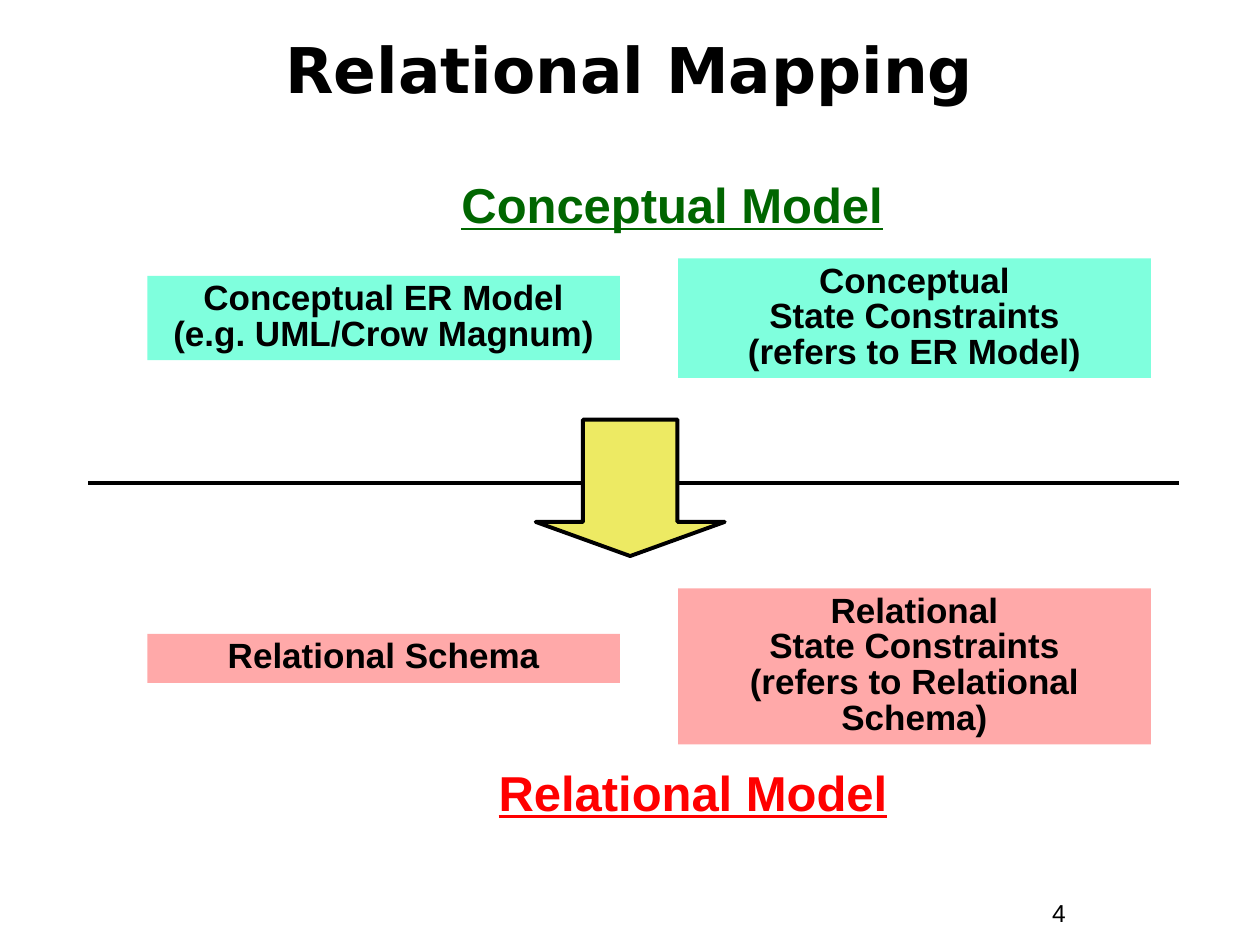
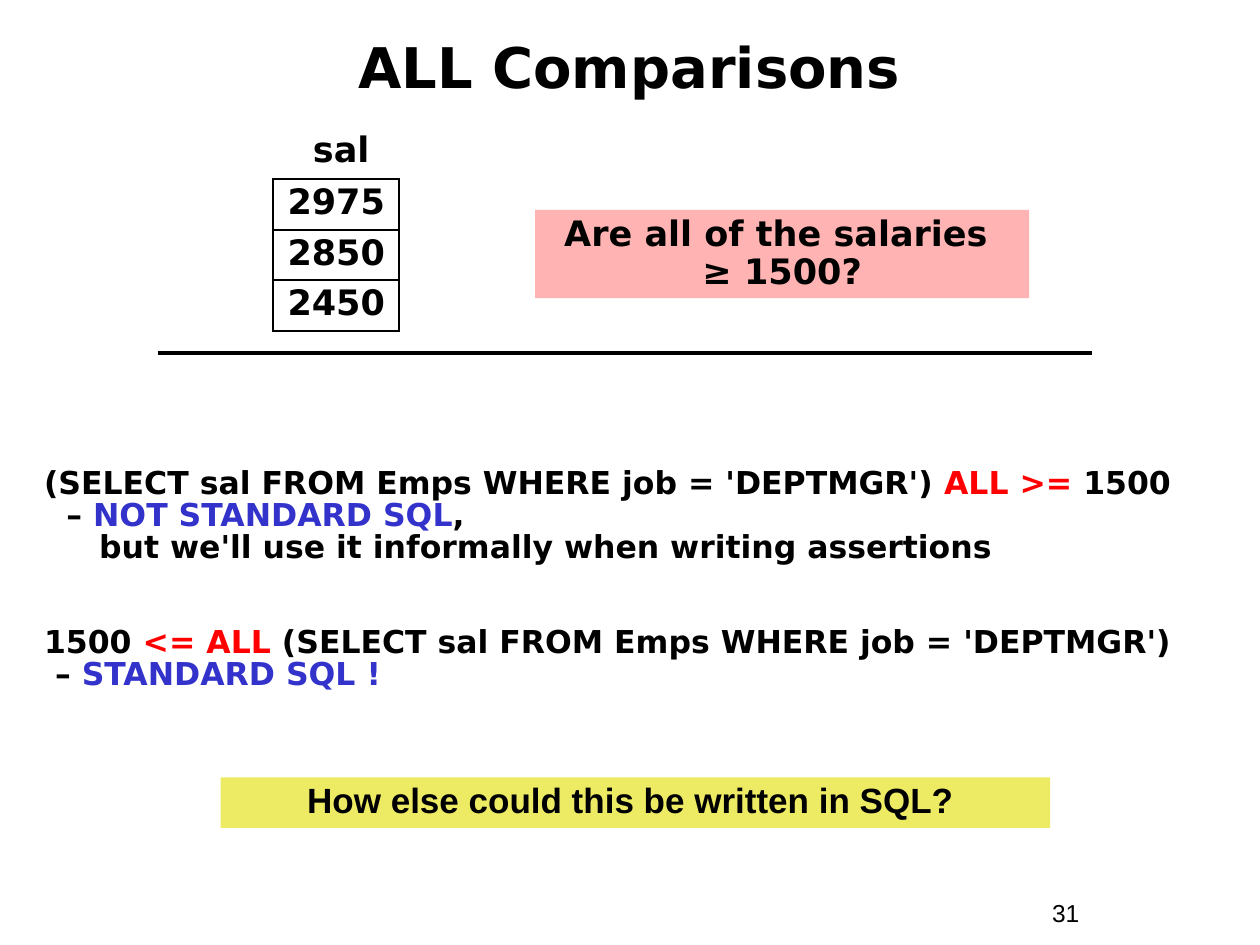
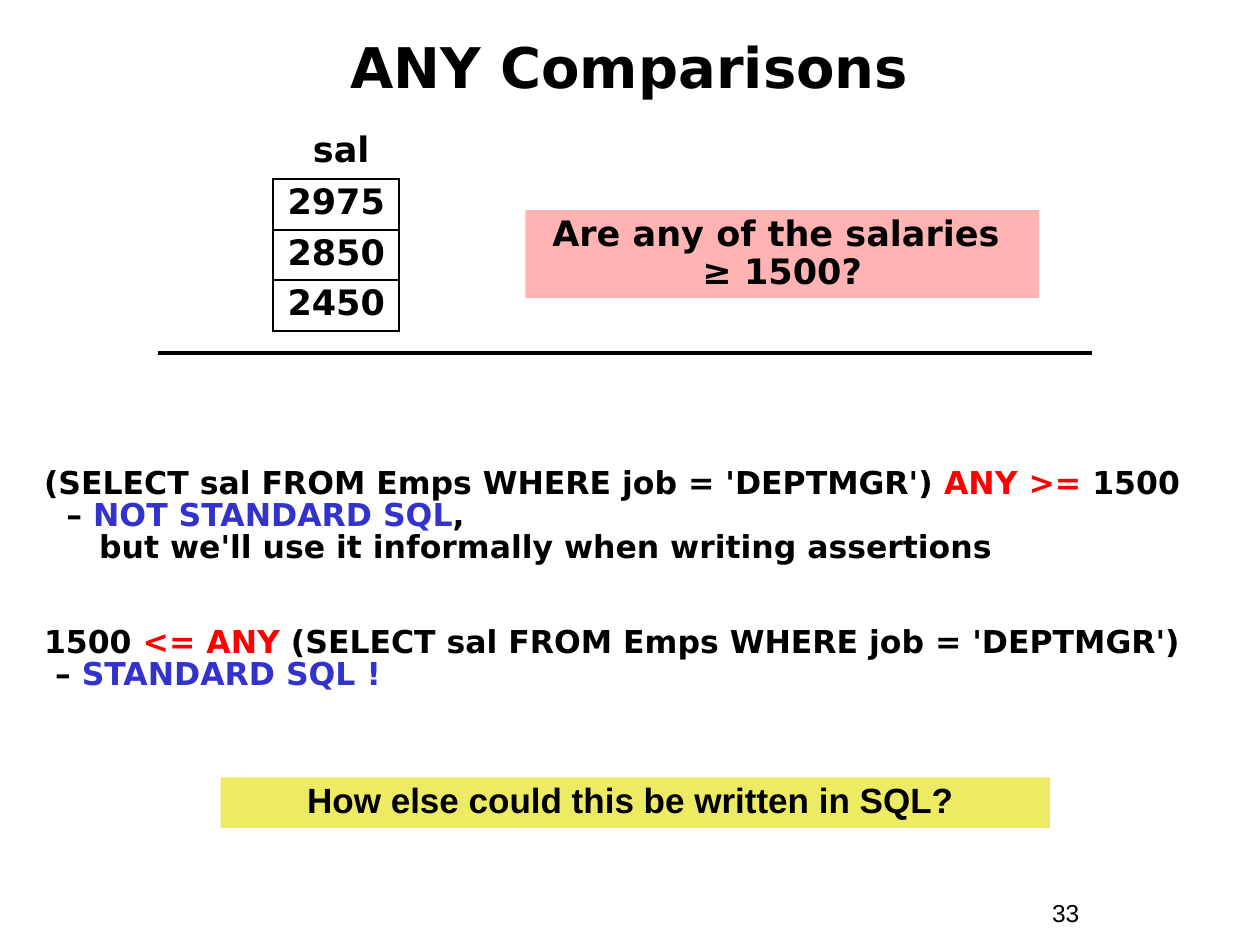
from dataclasses import dataclass
from typing import Optional

import lxml.etree
import pptx
import pptx.dml.color
import pptx.enum.shapes
import pptx.enum.text
import pptx.oxml.ns
import pptx.util

Cm = pptx.util.Cm
Pt = pptx.util.Pt
qn = pptx.oxml.ns.qn
Align = pptx.enum.text.PP_ALIGN
Anchor = pptx.enum.text.MSO_ANCHOR
Preset = pptx.enum.shapes.MSO_SHAPE

COLORS = {
    "black": "000000",
    "red": "FF0000",
    "green": "006600",
    "blue": "3333CC",
    "mint": "7FFFDD",
    "salmon": "FFA9A9",
    "pink": "FFB3B3",
    "yellow": "EDEA63",
}
SANS, DISPLAY = "Arial", "DejaVu Sans"
RULE_WEIGHT = 2.25


@dataclass(frozen=True)
class Style:
    size: float
    font: str = SANS
    color: str = "black"
    bold: bool = True
    underline: bool = False
    spacing: float = 0.85
    align: Align = Align.CENTER


@dataclass(frozen=True)
class Panel:
    """A text area in centimetres, with an optional fill."""
    left: float
    top: float
    width: float
    height: float
    text: str
    style: Style
    fill: Optional[str] = None
    anchor: Anchor = Anchor.TOP


@dataclass(frozen=True)
class QueryLine:
    """One line of coloured pieces, indented in centimetres."""
    pieces: tuple[tuple[str, str], ...]
    indent: float = 0
    space_before: float = 0


@dataclass(frozen=True)
class Comparison:
    word: str
    page: str
    question_width: float


PAGE_NUMBER = Style(14, bold=False, spacing=1, align=Align.LEFT)
MAIN_TITLE = Style(36, DISPLAY, spacing=1)
TITLE = Style(32, DISPLAY)
MODEL_BOX = Style(20)
SALARY = Style(20, DISPLAY, spacing=0.9)
PROMPT = Style(20, spacing=0.9)
QUERY = Style(18, DISPLAY, align=Align.LEFT)

LEFT_COLUMN, RIGHT_COLUMN, MODEL_WIDTH = 2.97, 13.67, 9.53
MODEL_PANELS = (
    Panel(LEFT_COLUMN, 5.56, MODEL_WIDTH, 1.7,
          "Conceptual ER Model\v(e.g. UML/Crow Magnum)", MODEL_BOX, "mint"),
    Panel(RIGHT_COLUMN, 5.21, MODEL_WIDTH, 2.41,
          "Conceptual\vState Constraints\v(refers to ER Model)", MODEL_BOX, "mint"),
    Panel(LEFT_COLUMN, 12.78, MODEL_WIDTH, 0.99,
          "Relational Schema", MODEL_BOX, "salmon"),
    Panel(RIGHT_COLUMN, 11.86, MODEL_WIDTH, 3.15,
          "Relational\vState Constraints\v(refers to Relational\vSchema)",
          MODEL_BOX, "salmon"),
    Panel(8.47, 3.58, 10.16, 1.27, "Conceptual Model",
          Style(28, color="green", underline=True)),
    Panel(8.89, 15.42, 10.16, 1.27, "Relational Model",
          Style(28, color="red", underline=True)),
)

SALARIES = ("2975", "2850", "2450")
SALARY_WIDTH, SALARY_HEIGHT = 2.54, 1.02
QUESTION_CENTER = 15.77
SUBQUERY = "(SELECT sal FROM Emps WHERE job = 'DEPTMGR')"
COMPARISONS = (Comparison("ALL", "31", 9.96), Comparison("ANY", "33", 10.36))


def rgb(name: str) -> pptx.dml.color.RGBColor:
    return pptx.dml.color.RGBColor.from_string(COLORS[name])


def format_paragraph(paragraph, style: Style) -> None:
    paragraph.alignment = style.align
    paragraph.line_spacing = style.spacing
    for run in paragraph.runs:
        run.font.name = style.font
        run.font.size = Pt(style.size)
        run.font.bold = style.bold
        run.font.underline = style.underline
        run.font.color.rgb = rgb(style.color)


def add_panel(slide, panel: Panel):
    area = [Cm(v) for v in (panel.left, panel.top, panel.width, panel.height)]
    if panel.fill:
        shape = slide.shapes.add_shape(Preset.RECTANGLE, *area)
        shape.shadow.inherit = False
        shape.fill.solid()
        shape.fill.fore_color.rgb = rgb(panel.fill)
        shape.line.fill.background()
    else:
        shape = slide.shapes.add_textbox(*area)
    frame = shape.text_frame
    frame.word_wrap = True
    frame.vertical_anchor = panel.anchor
    frame.text = panel.text
    format_paragraph(frame.paragraphs[0], panel.style)
    return shape


def add_rule(slide, left: float, right: float, y: float) -> None:
    rule = slide.shapes.add_connector(
        pptx.enum.shapes.MSO_CONNECTOR.STRAIGHT, Cm(left), Cm(y), Cm(right), Cm(y))
    rule.line.color.rgb = rgb("black")
    rule.line.width = Pt(RULE_WEIGHT)
    lxml.etree.SubElement(rule._element.spPr, qn("a:effectLst"))


def start_slide(deck, title: str, style: Style, top: float, height: float, page: str):
    """Add a blank slide with its title and page number."""
    slide = deck.slides.add_slide(deck.slide_layouts[6])
    add_panel(slide, Panel(20.96, 17.98, 2.34, 0.86, page, PAGE_NUMBER))
    add_panel(slide, Panel(0.84, top, 23.7, height, title, style, anchor=Anchor.MIDDLE))
    return slide


def add_cell_borders(cell) -> None:
    properties = cell._tc.get_or_add_tcPr()
    for position, side in enumerate(("a:lnL", "a:lnR", "a:lnT", "a:lnB")):
        border = lxml.etree.Element(qn(side), w=str(Pt(1.08)))
        fill = lxml.etree.SubElement(border, qn("a:solidFill"))
        lxml.etree.SubElement(fill, qn("a:srgbClr"), val=COLORS["black"])
        properties.insert(position, border)


def add_salary_table(slide) -> None:
    table = slide.shapes.add_table(
        len(SALARIES), 1, Cm(5.51), Cm(3.61),
        Cm(SALARY_WIDTH), Cm(SALARY_HEIGHT * len(SALARIES))).table
    table.first_row = False
    table.horz_banding = False
    for row, salary in enumerate(SALARIES):
        table.rows[row].height = Cm(SALARY_HEIGHT)
        cell = table.cell(row, 0)
        cell.fill.background()
        cell.text_frame.text = salary
        format_paragraph(cell.text_frame.paragraphs[0], SALARY)
        add_cell_borders(cell)


def query_lines(word: str) -> tuple[QueryLine, ...]:
    return (
        QueryLine(((SUBQUERY + " ", "black"), (f"{word} >=", "red"), (" 1500", "black"))),
        QueryLine((("– ", "black"), ("NOT STANDARD SQL", "blue"), (",", "black")), 0.45),
        QueryLine((("but we'll use it informally when writing assertions", "black"),), 1.11),
        QueryLine((("1500 ", "black"), (f"<= {word}", "red"), (" " + SUBQUERY, "black")),
                  space_before=36),
        QueryLine((("– ", "black"), ("STANDARD SQL !", "blue")), 0.22),
    )


def add_queries(slide, word: str) -> None:
    frame = add_panel(slide, Panel(0.64, 9.32, 23.72, 5.44, "", QUERY)).text_frame
    for number, line in enumerate(query_lines(word)):
        paragraph = frame.add_paragraph() if number else frame.paragraphs[0]
        for text, _ in line.pieces:
            paragraph.add_run().text = text
        format_paragraph(paragraph, QUERY)
        for run, (_, color) in zip(paragraph.runs, line.pieces):
            run.font.color.rgb = rgb(color)
        if line.indent:
            paragraph._p.get_or_add_pPr().set("marL", str(Cm(line.indent)))
        if line.space_before:
            paragraph.space_before = Pt(line.space_before)


def build_mapping(deck) -> None:
    slide = start_slide(deck, "Relational Mapping", MAIN_TITLE, 0.2, 2.34, "4")
    for panel in MODEL_PANELS:
        add_panel(slide, panel)
    add_rule(slide, 1.78, 23.77, 9.73)
    arrow = slide.shapes.add_shape(
        Preset.DOWN_ARROW, Cm(10.8), Cm(8.46), Cm(3.81), Cm(2.75))
    arrow.adjustments[0] = 0.5
    arrow.adjustments[1] = 0.25
    arrow.shadow.inherit = False
    arrow.fill.solid()
    arrow.fill.fore_color.rgb = rgb("yellow")
    arrow.line.color.rgb = rgb("black")
    arrow.line.width = Pt(RULE_WEIGHT)


def build_comparison(deck, comparison: Comparison) -> None:
    word, width = comparison.word, comparison.question_width
    slide = start_slide(deck, f"{word} Comparisons", TITLE, 0.48, 1.9, comparison.page)
    add_salary_table(slide)
    add_panel(slide, Panel(5.93, 2.54, 1.9, 1.02, "sal", SALARY))
    add_rule(slide, 3.18, 22.02, 7.11)
    add_panel(slide, Panel(QUESTION_CENTER - width / 2, 4.23, width, 1.78,
                           f"Are {word.lower()} of the salaries \v≥ 1500?", SALARY, "pink"))
    add_queries(slide, word)
    add_panel(slide, Panel(4.45, 15.67, 16.72, 1.02,
                           "How else could this be written in SQL? ", PROMPT, "yellow"))


def main() -> None:
    deck = pptx.Presentation()
    deck.slide_width, deck.slide_height = Cm(25.4), Cm(19.05)
    build_mapping(deck)
    for comparison in COMPARISONS:
        build_comparison(deck, comparison)
    deck.save("out.pptx")


if __name__ == "__main__":
    main()
